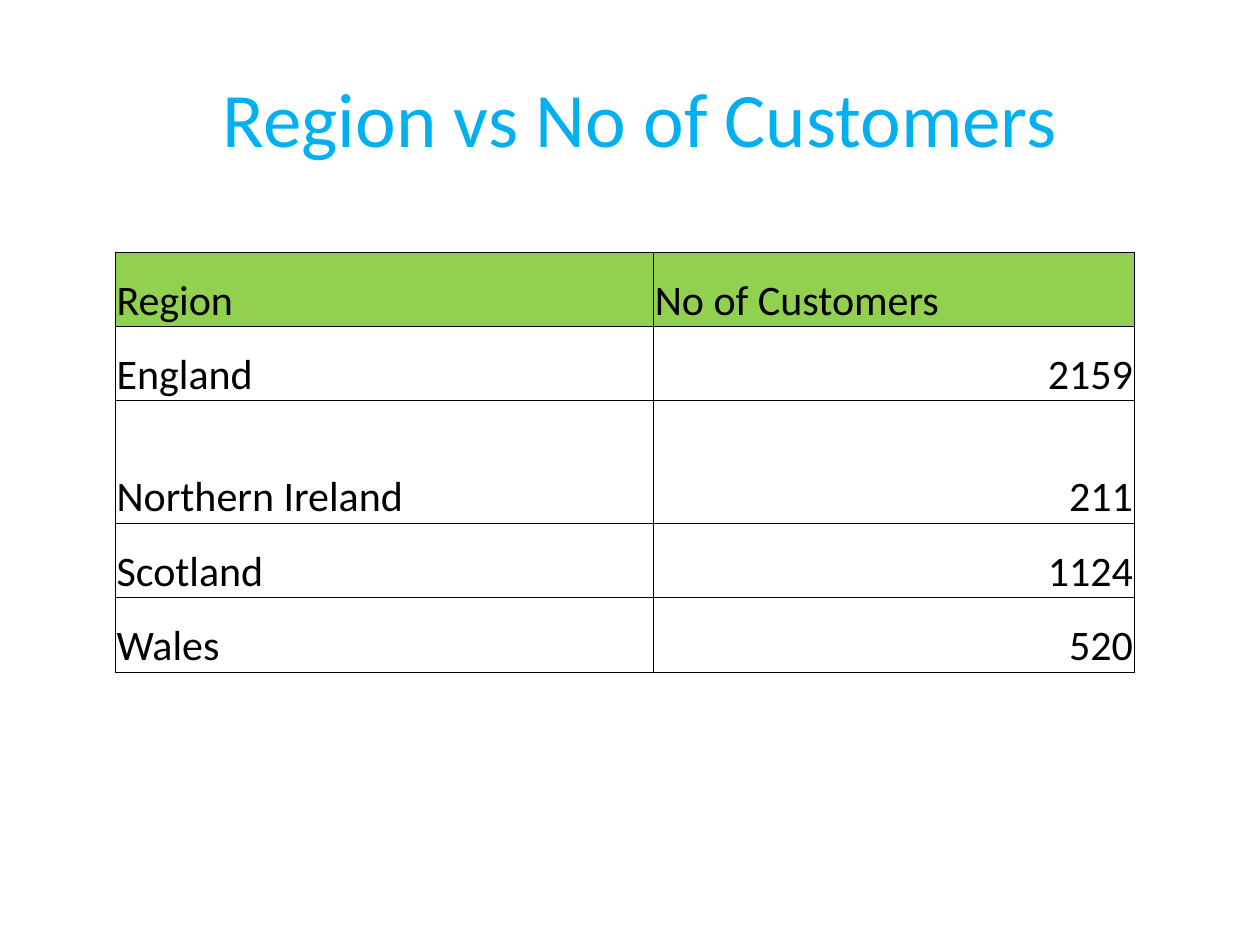
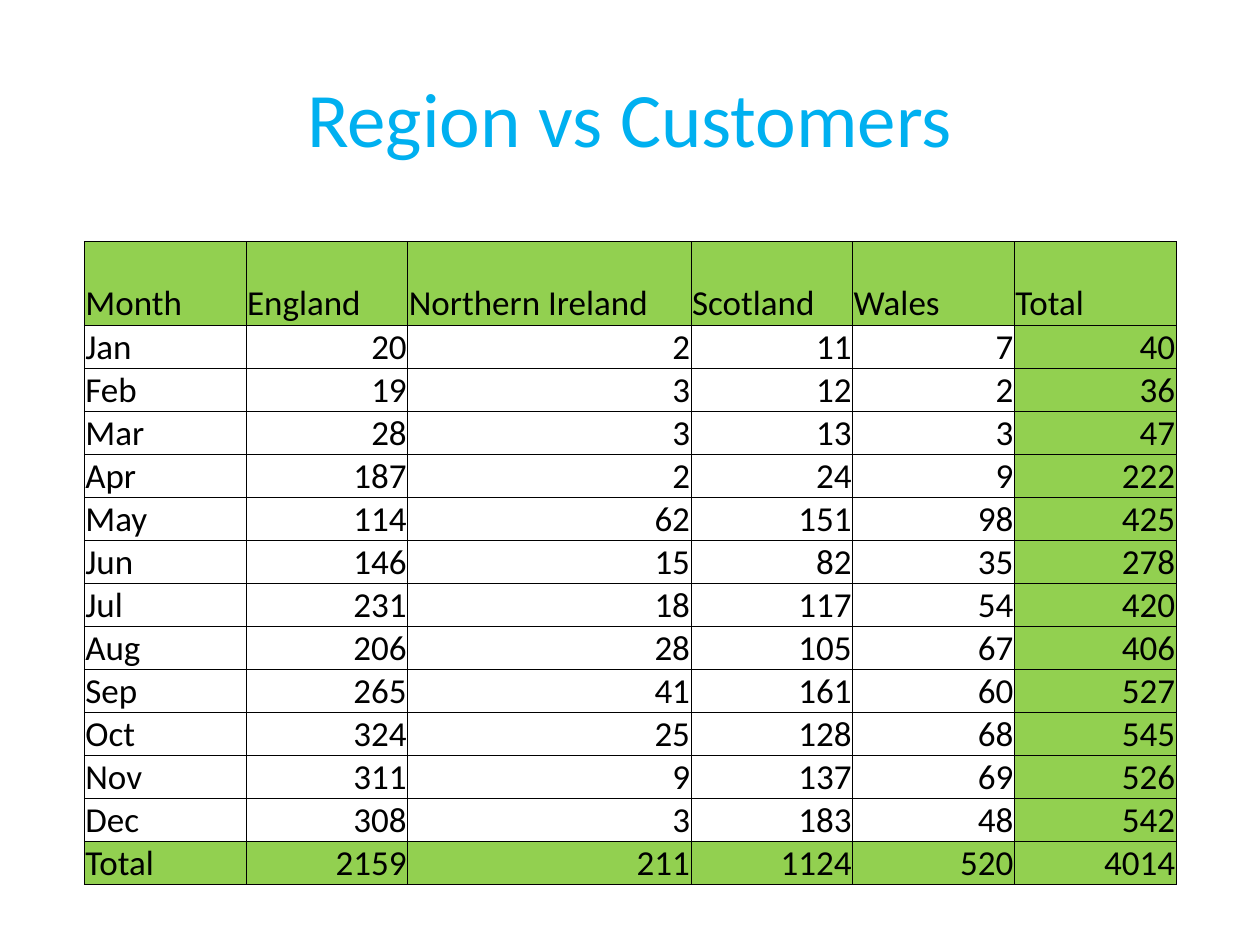
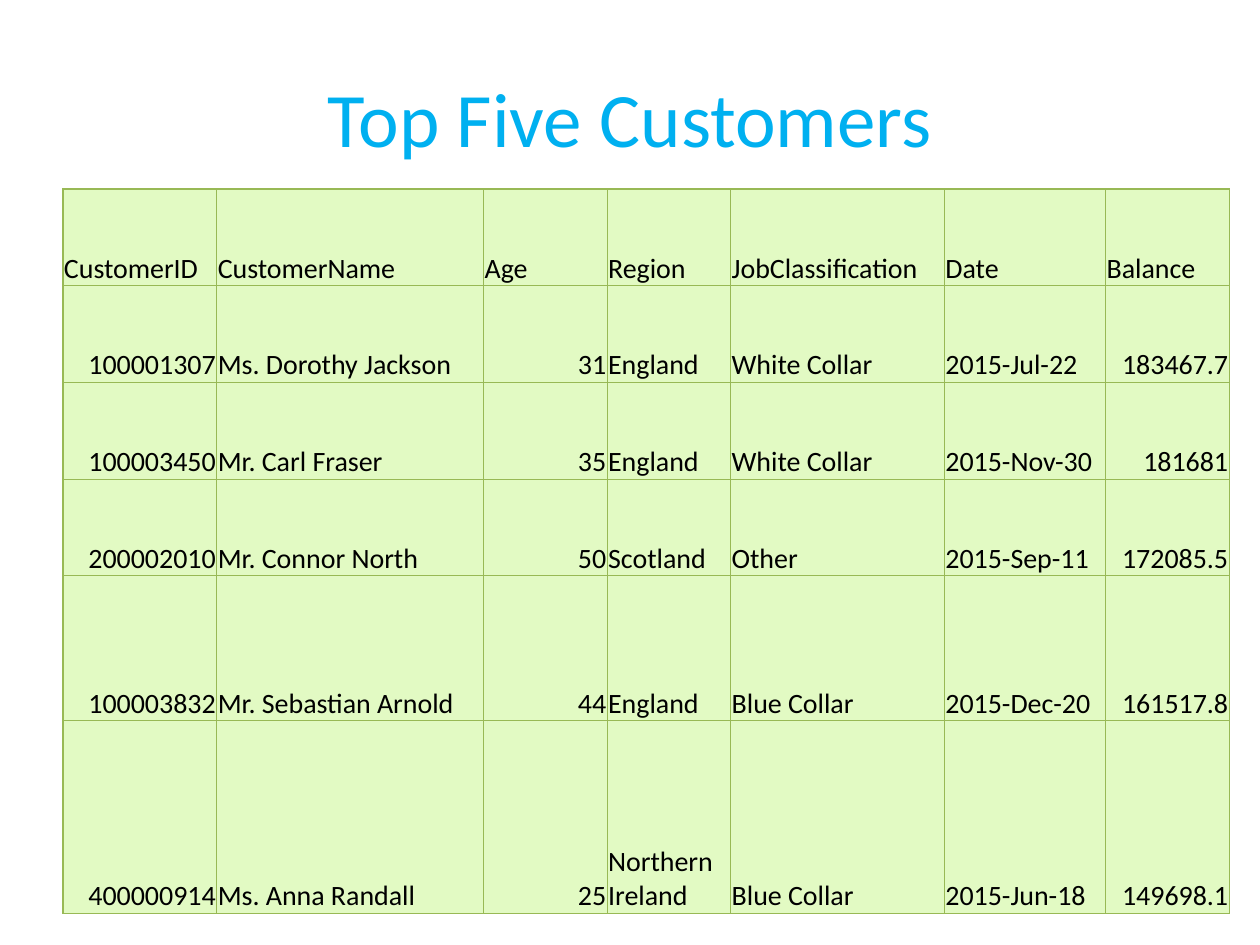
from dataclasses import dataclass

from lxml.etree import SubElement
from pptx import Presentation
from pptx.dml.color import RGBColor as RGB
from pptx.enum.text import MSO_ANCHOR as ANCHOR, PP_ALIGN as ALIGN
from pptx.oxml.ns import qn
from pptx.util import Cm, Pt


@dataclass(frozen=True)
class Theme:
    font: str = "Calibri"
    title: str = "00B0F0"
    text: str = "000000"
    accent: str = "92D050"
    pale: str = "E2FAC3"
    grid: str = "000000"
    pale_grid: str = "98B955"
    title_size: int = 44
    large: int = 24
    medium: int = 20
    small: int = 16


THEME = Theme()

REGIONS = ["England", "Northern Ireland", "Scotland", "Wales"]
MONTHLY = {
    "Jan": [20, 2, 11, 7],
    "Feb": [19, 3, 12, 2],
    "Mar": [28, 3, 13, 3],
    "Apr": [187, 2, 24, 9],
    "May": [114, 62, 151, 98],
    "Jun": [146, 15, 82, 35],
    "Jul": [231, 18, 117, 54],
    "Aug": [206, 28, 105, 67],
    "Sep": [265, 41, 161, 60],
    "Oct": [324, 25, 128, 68],
    "Nov": [311, 9, 137, 69],
    "Dec": [308, 3, 183, 48],
}
REGION_TOTALS = [sum(column) for column in zip(*MONTHLY.values())]
TOP_CUSTOMERS = [
    ["CustomerID", "CustomerName", "Age", "Region", "JobClassification", "Date", "Balance"],
    [100001307, "Ms. Dorothy Jackson", 31, "England", "White Collar", "2015-Jul-22", 183467.7],
    [100003450, "Mr. Carl Fraser", 35, "England", "White Collar", "2015-Nov-30", 181681],
    [200002010, "Mr. Connor North", 50, "Scotland", "Other", "2015-Sep-11", 172085.5],
    [100003832, "Mr. Sebastian Arnold", 44, "England", "Blue Collar", "2015-Dec-20", 161517.8],
    [400000914, "Ms. Anna Randall", 25, "Northern Ireland", "Blue Collar", "2015-Jun-18", 149698.1],
]


def set_attrs(obj, values):
    for name, value in values.items():
        setattr(obj, name, value)


def write(tf, text, size, color, align):
    p = tf.paragraphs[0]
    p.alignment = align
    r = p.add_run()
    r.text = text
    set_attrs(r.font, {"name": THEME.font, "size": Pt(size), "bold": False})
    r.font.color.rgb = RGB.from_string(color)


def add_titled_slide(prs, title, left=1.27):
    s = prs.slides.add_slide(prs.slide_layouts[6])
    tf = s.shapes.add_textbox(Cm(left), Cm(0.76), Cm(22.86), Cm(3.18)).text_frame
    set_attrs(tf, {"word_wrap": True, "vertical_anchor": ANCHOR.MIDDLE})
    write(tf, title, THEME.title_size, THEME.title, ALIGN.CENTER)
    return s


def add_borders(cell, color, width):
    tc_pr = cell._tc.get_or_add_tcPr()
    for side in ("lnL", "lnR", "lnT", "lnB"):
        ln = SubElement(tc_pr, qn(f"a:{side}"), w=str(Pt(width)))
        SubElement(SubElement(ln, qn("a:solidFill")), qn("a:srgbClr"), val=color)


def format_cell(cell, value, size, fill, grid, width):
    set_attrs(cell, {
        "margin_left": Cm(0.02), "margin_right": Cm(0.02),
        "margin_top": Cm(0.02), "margin_bottom": 0,
        "vertical_anchor": ANCHOR.BOTTOM,
    })
    align = ALIGN.LEFT if isinstance(value, str) else ALIGN.RIGHT
    write(cell.text_frame, str(value), size, THEME.text, align)
    add_borders(cell, grid, width)
    if fill:
        cell.fill.solid()
        cell.fill.fore_color.rgb = RGB.from_string(fill)
    else:
        cell.fill.background()


def add_grid(s, rows, left, top, widths, heights, size, fill_at, grid=THEME.grid, width=0.5):
    table = s.shapes.add_table(len(rows), len(widths), Cm(left), Cm(top),
                               Cm(sum(widths)), Cm(sum(heights))).table
    set_attrs(table, {"first_row": False, "horz_banding": False})
    for column, w in zip(table.columns, widths):
        column.width = Cm(w)
    for row, h in zip(table.rows, heights):
        row.height = Cm(h)
    for i, values in enumerate(rows):
        for j, value in enumerate(values):
            format_cell(table.cell(i, j), value, size, fill_at(i, j), grid, width)


def add_region_slide(prs):
    s = add_titled_slide(prs, "Region vs No of Customers", left=1.48)
    rows = [["Region", "No of Customers"], *zip(REGIONS, REGION_TOTALS)]
    add_grid(s, rows, 2.33, 5.08, [10.85, 9.68], [1.5, 1.5, 2.47, 1.5, 1.5],
             THEME.large, lambda i, j: THEME.accent if i == 0 else None)


def add_monthly_slide(prs):
    s = add_titled_slide(prs, "Region vs Customers")
    rows = [["Month", *REGIONS, "Total"]]
    rows += [[month, *counts, sum(counts)] for month, counts in MONTHLY.items()]
    rows.append(["Total", *REGION_TOTALS, sum(REGION_TOTALS)])
    last_row, last_col = len(rows) - 1, len(rows[0]) - 1
    add_grid(s, rows, 1.7, 4.87, [3.26, 3.26, 5.71, 3.26, 3.26, 3.26],
             [1.68] + [0.84] * last_row, THEME.medium,
             lambda i, j: THEME.accent if i in (0, last_row) or j == last_col else None)


def add_top_customers_slide(prs):
    s = add_titled_slide(prs, "Top Five Customers")
    add_grid(s, TOP_CUSTOMERS, 1.27, 3.81, [3.1, 5.38, 2.49, 2.49, 4.31, 3.25, 2.49],
             [1.95] * 4 + [2.92, 3.88], THEME.small, lambda i, j: THEME.pale,
             grid=THEME.pale_grid, width=0.75)


def main():
    prs = Presentation()
    set_attrs(prs, {"slide_width": Cm(25.4), "slide_height": Cm(19.05)})
    add_region_slide(prs)
    add_monthly_slide(prs)
    add_top_customers_slide(prs)
    prs.save("out.pptx")


if __name__ == "__main__":
    main()
